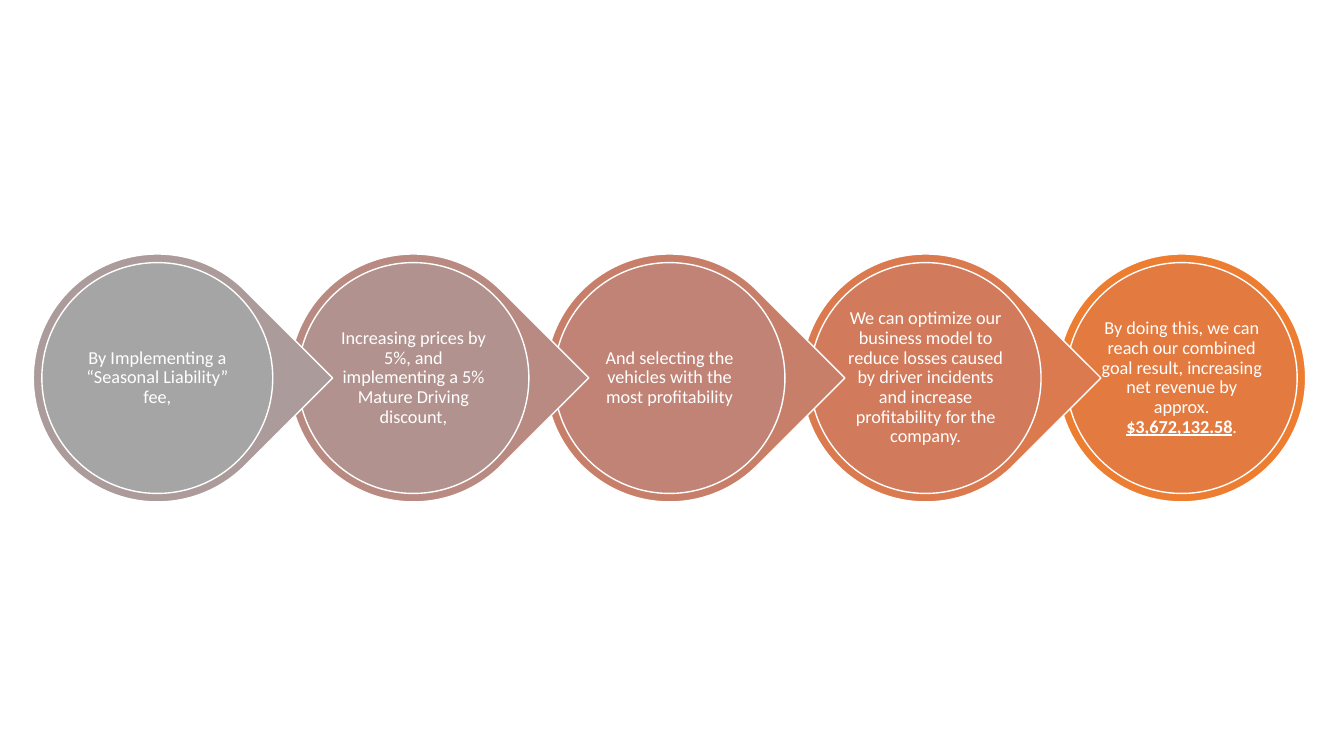
from pptx import Presentation
from pptx.dml.color import RGBColor
from pptx.enum.shapes import MSO_SHAPE
from pptx.enum.text import MSO_ANCHOR, PP_ALIGN
from pptx.util import Inches, Pt

WHITE = RGBColor(0xFF, 0xFF, 0xFF)

# Each step: outer colour, inner colour, runs of (text, stressed)
STEPS = [
    (RGBColor(0xAB, 0x9B, 0x9A), RGBColor(0xA5, 0xA5, 0xA5),
     [("By Implementing a “Seasonal Liability” fee,", False)]),
    (RGBColor(0xB9, 0x8A, 0x82), RGBColor(0xB2, 0x92, 0x8E),
     [("Increasing prices by 5%, and implementing a 5% Mature Driving "
       "discount,", False)]),
    (RGBColor(0xC8, 0x7F, 0x69), RGBColor(0xC0, 0x83, 0x76),
     [("And selecting the vehicles with the most profitability", False)]),
    (RGBColor(0xDA, 0x7A, 0x4E), RGBColor(0xD1, 0x7B, 0x5C),
     [("We can optimize our business model to reduce losses caused by "
       "driver incidents and increase profitability for the company.",
       False)]),
    (RGBColor(0xED, 0x7D, 0x31), RGBColor(0xE3, 0x7A, 0x40),
     [("By doing this, we can reach our combined goal result, increasing "
       "net revenue by approx. ", False),
      ("$3,672,132.58", True), (".", False)]),
]

FIRST, MID = 1.56, 3.75   # centre of the first step
PITCH = 2.54
OUTER, INNER, LABEL = 2.46, 2.29, 1.64


def square(x, size):
    """Left, top, width and height of a square centred at x on the row."""
    return [Inches(v) for v in (x - size / 2, MID - size / 2, size, size)]


def add_disc(group, kind, x, size, color, turn=0):
    disc = group.shapes.add_shape(kind, *square(x, size))
    disc.rotation = turn
    disc.shadow.inherit = False
    disc.fill.solid()
    disc.fill.fore_color.rgb = color
    disc.line.color.rgb = WHITE
    disc.line.width = Pt(1)


def add_text(group, x, runs, size=13, font="Calibri", color=WHITE):
    frame = group.shapes.add_textbox(*square(x, LABEL)).text_frame
    frame.word_wrap = True
    frame.vertical_anchor = MSO_ANCHOR.MIDDLE
    frame.margin_left = frame.margin_right = Inches(0.02)
    frame.margin_top = frame.margin_bottom = Inches(0.02)
    para = frame.paragraphs[0]
    para.alignment = PP_ALIGN.CENTER
    para.line_spacing = 0.9
    for text, stressed in runs:
        run = para.add_run()
        run.text = text
        run.font.name = font
        run.font.size = Pt(size)
        run.font.color.rgb = color
        run.font.bold = run.font.underline = stressed


def main():
    deck = Presentation()
    deck.slide_width, deck.slide_height = Inches(13.33), Inches(7.5)
    slide = deck.slides.add_slide(deck.slide_layouts[6])
    group = slide.shapes.add_group_shape()
    last = len(STEPS) - 1
    # Right to left, so that each tip lies over the next step
    for i, (rim, core, runs) in reversed(list(enumerate(STEPS))):
        x = FIRST + i * PITCH
        if i == last:
            add_disc(group, MSO_SHAPE.OVAL, x, OUTER, rim)
        else:
            add_disc(group, MSO_SHAPE.TEAR, x, OUTER, rim, turn=45)
        add_disc(group, MSO_SHAPE.OVAL, x, INNER, core)
        add_text(group, x, runs)
    deck.save("out.pptx")


if __name__ == "__main__":
    main()
